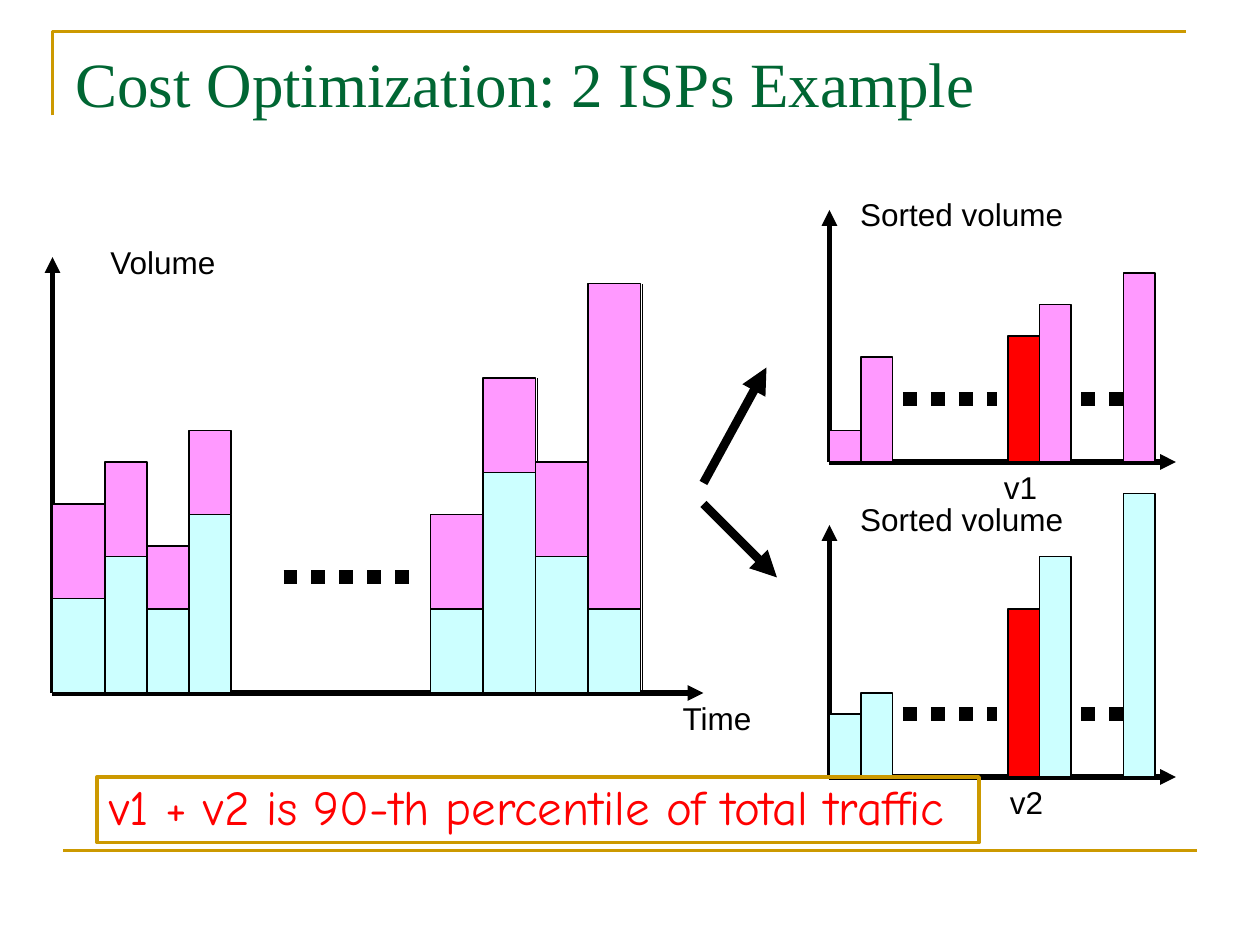
"""Build the slide on cost optimization with two ISPs."""
from dataclasses import dataclass
from itertools import accumulate

from pptx import Presentation
from pptx.dml.color import RGBColor
from pptx.enum import dml, shapes, text
from pptx.oxml import ns, xmlchemy
from pptx.util import Pt


@dataclass(frozen=True)
class Theme:
    ink: str = "000000"
    gold: str = "CC9900"
    green: str = "006633"
    red: str = "FF0000"
    pink: str = "FF99FF"
    cyan: str = "CCFFFF"
    title_size: int = 36
    callout_size: int = 28
    label_size: int = 18
    thin: float = 0.75
    frame: float = 1.5
    border: float = 2
    axis: float = 3
    pointer: float = 5
    dots: float = 8


THEME = Theme()


def style_line(line, color, width):
    line.color.rgb = RGBColor.from_string(color)
    line.width = Pt(width)


def add_line(slide, start, end, width, color=THEME.ink, arrow=False, dotted=False):
    ends = [Pt(value) for value in (*start, *end)]
    connector = slide.shapes.add_connector(shapes.MSO_CONNECTOR.STRAIGHT, *ends)
    style_line(connector.line, color, width)
    if dotted:
        connector.line.dash_style = dml.MSO_LINE.ROUND_DOT
    properties = connector._element.spPr
    if arrow:
        tail = xmlchemy.OxmlElement("a:tailEnd")
        tail.set("type", "triangle")
        properties.find(ns.qn("a:ln")).append(tail)
    properties.append(xmlchemy.OxmlElement("a:effectLst"))


def add_axes(slide, left, base, width, height):
    for end in ((left + width, base), (left, base - height)):
        add_line(slide, (left, base), end, THEME.axis, arrow=True)


def add_box(slide, left, top, width, height, line_color, line_width, fill=None):
    box = slide.shapes.add_shape(
        shapes.MSO_SHAPE.RECTANGLE, Pt(left), Pt(top), Pt(width), Pt(height))
    box.shadow.inherit = False
    style_line(box.line, line_color, line_width)
    if fill:
        box.fill.solid()
        box.fill.fore_color.rgb = RGBColor.from_string(fill)
    else:
        box.fill.background()
    return box


def add_bar(slide, left, base, width, height, fill):
    add_box(slide, left, base - height, width, height, THEME.ink, THEME.thin, fill)


def write(frame, words, size, font, color, wrap):
    frame.text = words
    frame.word_wrap = wrap
    if not wrap:
        frame.auto_size = text.MSO_AUTO_SIZE.SHAPE_TO_FIT_TEXT
    paragraph = frame.paragraphs[0]
    paragraph.alignment = text.PP_ALIGN.LEFT
    run_font = paragraph.runs[0].font
    run_font.size = Pt(size)
    run_font.name = font
    run_font.color.rgb = RGBColor.from_string(color)


def add_label(slide, words, left, top, width, height=29, size=THEME.label_size,
              font="Arial", color=THEME.ink, wrap=False):
    label = slide.shapes.add_textbox(Pt(left), Pt(top), Pt(width), Pt(height))
    write(label.text_frame, words, size, font, color, wrap)


def add_frame(slide):
    outline = slide.shapes.build_freeform(Pt(30), Pt(66))
    outline.add_line_segments([(Pt(30), Pt(18)), (Pt(678), Pt(18))], close=False)
    corner = outline.convert_to_shape()
    corner.shadow.inherit = False
    corner.fill.background()
    style_line(corner.line, THEME.gold, THEME.frame)
    add_line(slide, (36, 486), (684, 486), THEME.frame, THEME.gold)


def add_total_chart(slide):
    left, base = 30, 396
    add_axes(slide, left, base, 372, 249)
    add_line(slide, (162, 330), (240, 330), THEME.dots, dotted=True)
    add_line(slide, (307, base), (307, 216), THEME.thin)
    early = ((30, 24, 24, 24), (54, 78, 48, 102), (54, 54, 36, 48))
    late = ((30, 30, 30, 30), (48, 126, 78, 48), (54, 54, 54, 186))
    for start, (widths, lower, upper) in ((left, early), (246, late)):
        lefts = accumulate(widths[:-1], initial=start)
        for bar_left, width, cyan, pink in zip(lefts, widths, lower, upper):
            add_bar(slide, bar_left, base, width, cyan, THEME.cyan)
            add_bar(slide, bar_left, base - cyan, width, pink, THEME.pink)
    add_line(slide, (367, base), (367, 162), THEME.thin)
    add_label(slide, "Volume", 56, 135.5, 75.5)
    add_label(slide, "Time", 383, base, 54)


def add_sorted_chart(slide, base, fill, heights, percentile, heading_top, mark, mark_left):
    left, width = 474, 18
    add_axes(slide, left, base, 198, 144)
    for start, end in ((516, 570), (618, 648)):
        add_line(slide, (start, base - 36), (end, base - 36), THEME.dots, dotted=True)
    add_bar(slide, 576, base, width, percentile, THEME.red)
    for bar_left, height in zip((left, left + width, 594, 642), heights):
        add_bar(slide, bar_left, base, width, height, fill)
    add_label(slide, "Sorted volume", 484.5, heading_top, 130.5)
    add_label(slide, mark, mark_left, base, 34)


def add_callout(slide):
    callout = add_box(slide, 55.5, 444, 504, 37.5, THEME.gold, THEME.border)
    callout.text_frame.vertical_anchor = text.MSO_ANCHOR.MIDDLE
    write(callout.text_frame, "v1 + v2 is 90-th percentile of total traffic",
          THEME.callout_size, "Comic Neue", THEME.red, True)
    callout.text_frame.paragraphs[0].line_spacing = 0.9


def main():
    deck = Presentation()
    deck.slide_width, deck.slide_height = Pt(720), Pt(540)
    slide = deck.slides.add_slide(deck.slide_layouts[6])
    add_frame(slide)
    add_label(slide, "Cost Optimization: 2 ISPs Example", 36, 21.6, 648, 90,
              THEME.title_size, "Times New Roman", THEME.green, True)
    add_total_chart(slide)
    for start, end in (((402, 276), (438, 210)), ((402, 288), (444, 330))):
        add_line(slide, start, end, THEME.pointer, arrow=True)
    add_sorted_chart(slide, 264, THEME.pink, (18, 60, 90, 108), 72, 108, "v1", 566.5)
    add_sorted_chart(slide, 444, THEME.cyan, (36, 48, 126, 162), 96, 282, "v2", 570)
    add_callout(slide)
    deck.save("out.pptx")


if __name__ == "__main__":
    main()
